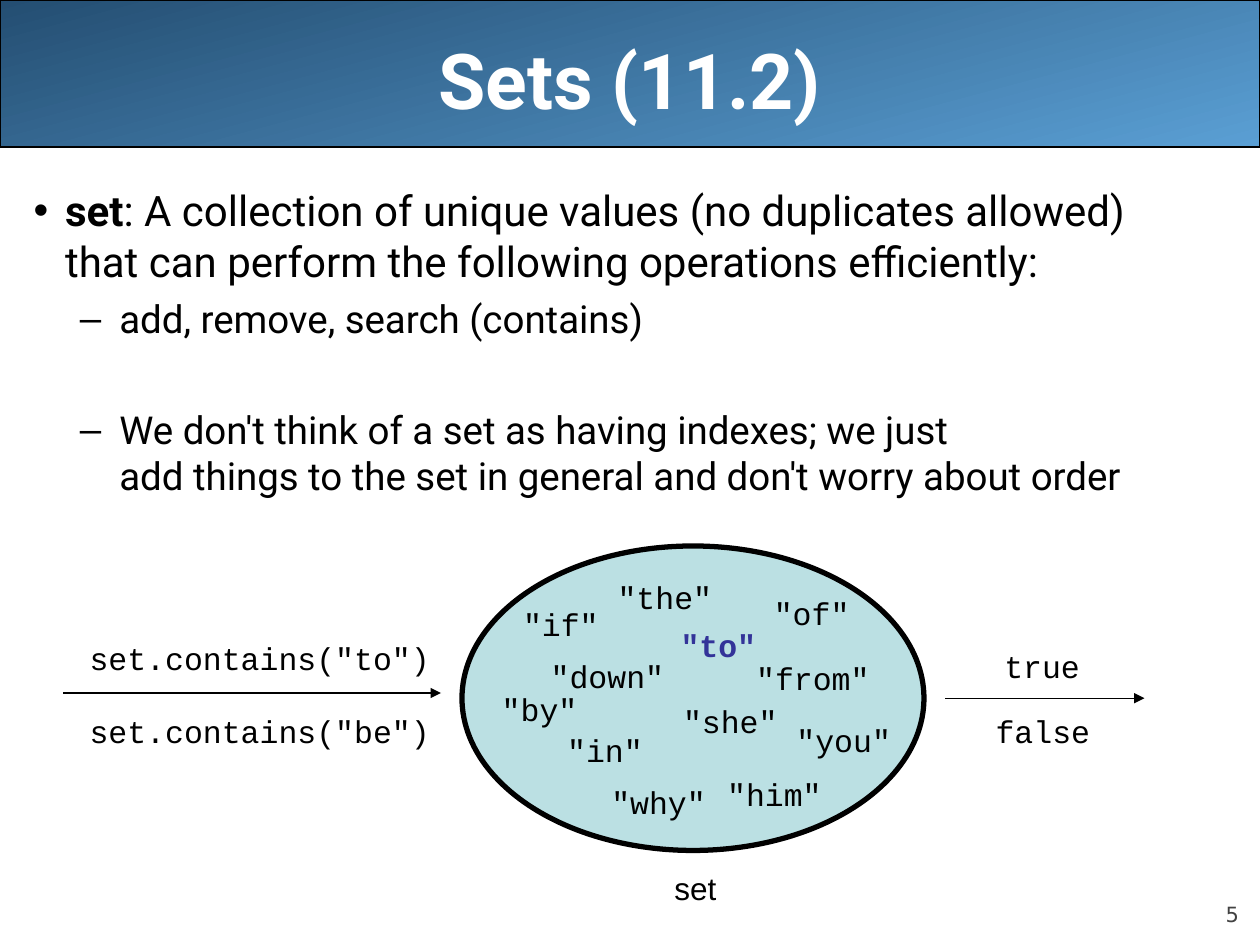
from typing import NamedTuple

from lxml.etree import SubElement
from pptx import Presentation
from pptx.dml.color import RGBColor
from pptx.enum.shapes import MSO_CONNECTOR, MSO_SHAPE
from pptx.enum.text import MSO_ANCHOR, MSO_AUTO_SIZE, PP_ALIGN
from pptx.oxml.ns import qn
from pptx.util import Pt

BLACK, WHITE, HIGHLIGHT = "000000", "FFFFFF", "333399"
HEADING_FONT, CODE_FONT = "Roboto", "Courier New"
CHAR_WIDTH = 10.8  # one Courier New character at 18 pt
PADDING = 14.4  # left and right insets together


class Label(NamedTuple):
    text: str
    x: float
    y: float
    color: str = BLACK
    bold: bool = False


class Arrow(NamedTuple):
    x1: float
    x2: float
    y: float


class Bullet(NamedTuple):
    wording: list[tuple[str, bool]]  # text, bold
    level: int
    size: float
    left: float
    hanging: float
    before: float


CALLS = [
    Label('set.contains("to")', 43.9, 361.5),
    Label('set.contains("be")', 43.9, 403.5),
]
RESULTS = [Label("true", 566.6, 366), Label("false", 561.6, 403.5)]
MEMBERS = [
    Label('"the"', 345.6, 327),
    Label('"of"', 434.9, 336),
    Label('"from"', 424.8, 373),
    Label('"to"', 381.6, 354, HIGHLIGHT, True),
    Label('"she"', 383, 397.5),
    Label('"you"', 447.8, 408.5),
    Label('"him"', 408.2, 439.5),
    Label('"why"', 342, 444),
    Label('"in"', 316.8, 414),
    Label('"down"', 307.4, 372),
    Label('"by"', 279.4, 391),
    Label('"if"', 291.6, 342),
]
ARROWS = [Arrow(36, 252, 396), Arrow(540, 654, 399)]
BULLETS = [
    Bullet(
        [
            ("set", True),
            (": A collection of unique values (no duplicates allowed)\n"
             "that can perform the following operations efficiently:", False),
        ],
        level=0, size=24, left=18, hanging=18, before=6,
    ),
    Bullet([("add, remove, search (contains)", False)],
           level=1, size=22, left=49, hanging=22.5, before=5.5),
    Bullet(
        [("We don't think of a set as having indexes; we just\n"
          "add things to the set in general and don't worry about order", False)],
        level=1, size=22, left=49, hanging=22.5, before=37,
    ),
]


def rgb(color: str) -> RGBColor:
    return RGBColor.from_string(color)


def place(sp, x: float, y: float, w: float, h: float) -> None:
    sp.left, sp.top, sp.width, sp.height = Pt(x), Pt(y), Pt(w), Pt(h)


def write(p, text: str, *, font: str = CODE_FONT, size: float = 18,
          color: str = BLACK, bold: bool = False, align=None) -> None:
    """Append formatted text to a paragraph; a newline is a line break."""
    if align is not None:
        p.alignment = align
    for i, line in enumerate(text.split("\n")):
        if i:
            p.add_line_break()
        r = p.add_run()
        r.text = line
        r.font.name, r.font.size, r.font.bold = font, Pt(size), bold
        r.font.color.rgb = rgb(color)


def add_text(s, text: str, x: float, y: float, w: float, h: float = 29, **fmt):
    tf = s.shapes.add_textbox(Pt(x), Pt(y), Pt(w), Pt(h)).text_frame
    tf.word_wrap = False
    write(tf.paragraphs[0], text, align=PP_ALIGN.RIGHT, **fmt)
    return tf


def add_label(s, label: Label) -> None:
    add_text(s, label.text, label.x, label.y,
             CHAR_WIDTH * len(label.text) + PADDING,
             color=label.color, bold=label.bold)


def add_arrow(s, arrow: Arrow) -> None:
    line = s.shapes.add_connector(MSO_CONNECTOR.STRAIGHT, Pt(arrow.x1), Pt(arrow.y),
                                  Pt(arrow.x2), Pt(arrow.y))
    line.line.color.rgb = rgb(BLACK)
    line.line.width = Pt(0.75)
    spPr = line.element.spPr
    SubElement(spPr.find(qn("a:ln")), qn("a:tailEnd"), type="triangle")
    SubElement(spPr, qn("a:effectLst"))


def add_outlined(s, kind, x: float, y: float, w: float, h: float, line_width: float):
    sp = s.shapes.add_shape(kind, Pt(x), Pt(y), Pt(w), Pt(h))
    sp.shadow.inherit = False
    sp.line.color.rgb = rgb(BLACK)
    sp.line.width = Pt(line_width)
    return sp


def add_header(s) -> None:
    title = s.shapes.title
    banner = add_outlined(s, MSO_SHAPE.RECTANGLE, 0, 0, 720, 84, 0.75)
    banner.fill.gradient()
    banner.fill.gradient_angle = 285
    for stop, color in zip(banner.fill.gradient_stops, ("244E72", "5A9FD4")):
        stop.color.rgb = rgb(color)
    title.element.addprevious(banner.element)

    place(title, 36, 0, 648, 90)
    tf = title.text_frame
    tf.vertical_anchor = MSO_ANCHOR.MIDDLE
    tf.auto_size = MSO_AUTO_SIZE.NONE
    write(tf.paragraphs[0], "Sets (11.2)", font=HEADING_FONT, size=44,
          color=WHITE, bold=True, align=PP_ALIGN.CENTER)


def fill_body(s) -> None:
    body = s.placeholders[1]
    place(body, 12, 102, 708, 408)
    tf = body.text_frame
    tf.auto_size = MSO_AUTO_SIZE.NONE
    for i, bullet in enumerate(BULLETS):
        p = tf.add_paragraph() if i else tf.paragraphs[0]
        p.level = bullet.level
        p.space_before = Pt(bullet.before)
        pPr = p._p.get_or_add_pPr()
        pPr.set("marL", str(Pt(bullet.left)))
        pPr.set("indent", str(-Pt(bullet.hanging)))
        for text, bold in bullet.wording:
            write(p, text, font=HEADING_FONT, size=bullet.size, bold=bold)


def add_diagram(s) -> None:
    ellipse = add_outlined(s, MSO_SHAPE.OVAL, 264, 312, 264, 174, 3)
    ellipse.fill.solid()
    ellipse.fill.fore_color.rgb = rgb("BBE0E3")
    for arrow in ARROWS:
        add_arrow(s, arrow)
    for label in CALLS + RESULTS + MEMBERS:
        add_label(s, label)
    add_text(s, "set", 378, 493, 38.4, font="Arial")


def add_page_number(s) -> None:
    tf = add_text(s, "5", 648, 500.5, 60, font="DejaVu Sans", size=12, color="424242")
    tf.margin_left = tf.margin_right = tf.margin_top = tf.margin_bottom = 0
    tf.vertical_anchor = MSO_ANCHOR.BOTTOM
    tf.word_wrap = True


def main() -> None:
    prs = Presentation()
    prs.slide_width, prs.slide_height = Pt(720), Pt(540)
    s = prs.slides.add_slide(prs.slide_layouts[1])
    add_header(s)
    fill_body(s)
    add_diagram(s)
    add_page_number(s)
    prs.save("out.pptx")


if __name__ == "__main__":
    main()
